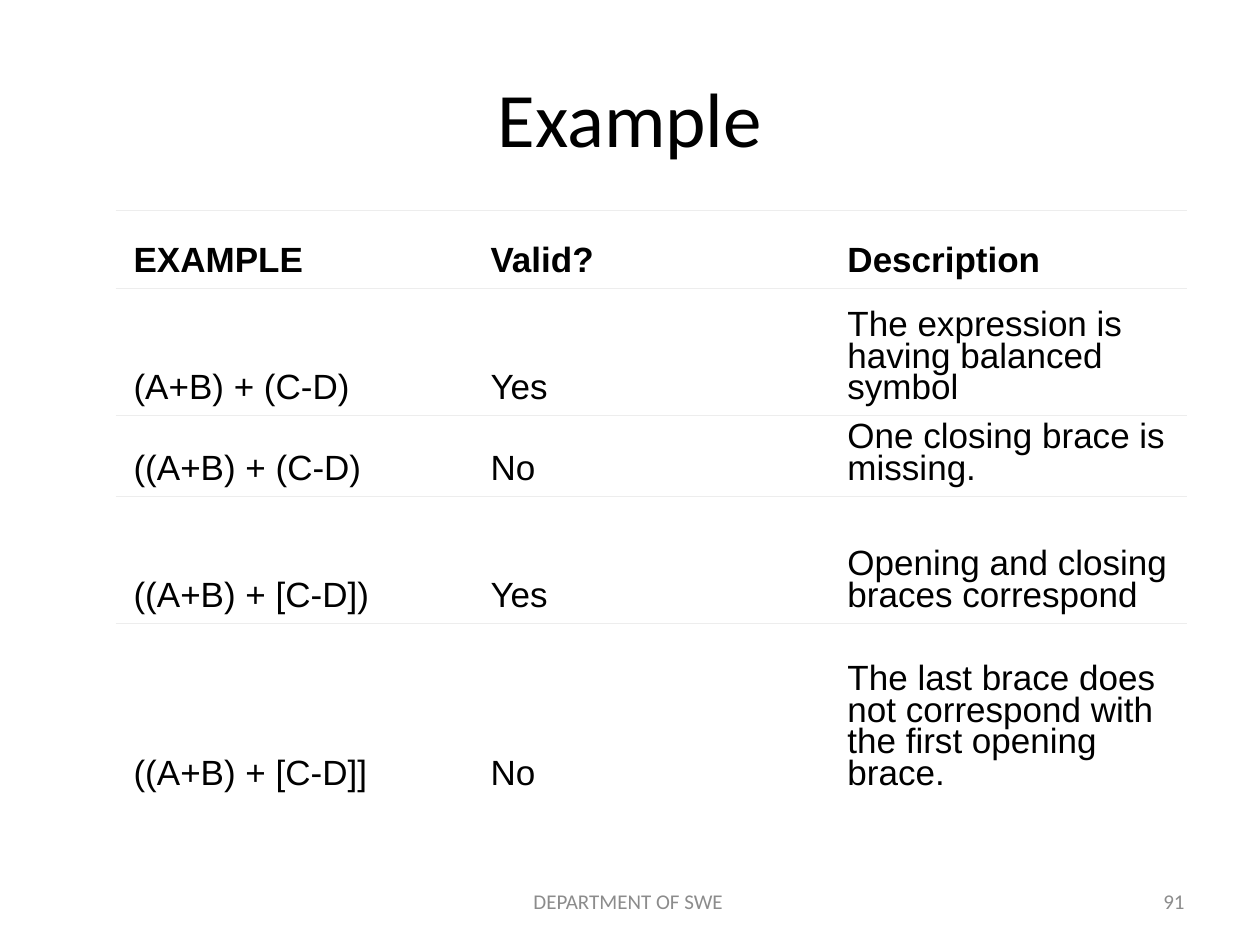
from lxml.etree import SubElement
from pptx import Presentation
from pptx.dml.color import RGBColor as RGB
from pptx.enum.text import MSO_ANCHOR as ANCHOR, PP_ALIGN as ALIGN
from pptx.oxml.ns import qn
from pptx.util import Inches, Pt

THEME = {
    "title": {"name": "Calibri", "size": Pt(44), "bold": False, "color": "000000"},
    "head": {"name": "Arial", "size": Pt(20), "bold": True, "color": "000000"},
    "cell": {"name": "Arial", "size": Pt(20), "bold": False, "color": "000000"},
    "footer": {"name": "Calibri", "size": Pt(12), "bold": False, "color": "8C8C8C"},
    "rule": "EDEDED",
    "fill": "FFFFFF",
}
ROWS = [
    (0.62, "EXAMPLE", "Valid?", "Description"),
    (1.01, "(A+B) + (C-D)", "Yes", "The expression is having balanced symbol"),
    (0.62, "((A+B) + (C-D)", "No", "One closing brace is missing."),
    (1.01, "((A+B) + [C-D])", "Yes", "Opening and closing braces correspond"),
    (1.41, "((A+B) + [C-D]]", "No",
     "The last brace does not correspond with the first opening brace."),
]
CELL = {"margin_left": Inches(0.14), "margin_right": Inches(0.14),
        "margin_top": Inches(0.07), "margin_bottom": Inches(0.07),
        "vertical_anchor": ANCHOR.BOTTOM}


def write(tf, text, style, align):
    p = tf.paragraphs[0]
    p.alignment = align
    r = p.add_run()
    r.text = text
    for key, value in THEME[style].items():
        if key == "color":
            r.font.color.rgb = RGB.from_string(value)
        else:
            setattr(r.font, key, value)
    return p


def border(cell, side, color):
    ln = SubElement(cell._tc.get_or_add_tcPr(), qn(f"a:{side}"), w=str(Pt(1)))
    if color:
        fill = SubElement(ln, qn("a:solidFill"))
        SubElement(fill, qn("a:srgbClr"), val=color)
    else:
        SubElement(ln, qn("a:noFill"))


prs = Presentation()
prs.slide_width, prs.slide_height = Inches(10), Inches(7.5)
W, H = prs.slide_width, prs.slide_height
s = prs.slides.add_slide(prs.slide_layouts[5])

title = s.shapes.title
title.left, title.top = int(W * 0.05), int(H * 0.04)
title.width, title.height = int(W * 0.9), Inches(1.25)
title.text_frame.vertical_anchor = ANCHOR.MIDDLE
write(title.text_frame, "Example", "title", ALIGN.CENTER)

for left, width, text, align in [(0.342, 0.317, "DEPARTMENT OF SWE ", ALIGN.CENTER),
                                 (0.717, 0.233, "91", ALIGN.RIGHT)]:
    sp = s.shapes.add_textbox(int(W * left), Inches(6.95), int(W * width), Inches(0.4))
    sp.text_frame.word_wrap = True
    sp.text_frame.vertical_anchor = ANCHOR.MIDDLE
    write(sp.text_frame, text, "footer", align)

table_w = int(W * 0.85)
table = s.shapes.add_table(len(ROWS), 3, int(W * 0.092), Inches(1.67), table_w,
                           Inches(sum(row[0] for row in ROWS))).table
table.horz_banding = False
for col in table.columns:
    col.width = table_w // 3
for i, (height, *texts) in enumerate(ROWS):
    table.rows[i].height = Inches(height)
    last = i == len(ROWS) - 1
    for j, text in enumerate(texts):
        cell = table.cell(i, j)
        for key, value in CELL.items():
            setattr(cell, key, value)
        for side, color in [("lnL", None), ("lnR", None), ("lnT", THEME["rule"]),
                            ("lnB", None if last else THEME["rule"])]:
            border(cell, side, color)
        cell.fill.solid()
        cell.fill.fore_color.rgb = RGB.from_string(THEME["fill"])
        p = write(cell.text_frame, text, "cell" if i else "head", ALIGN.LEFT)
        p.line_spacing = Pt(18)

prs.save("out.pptx")
